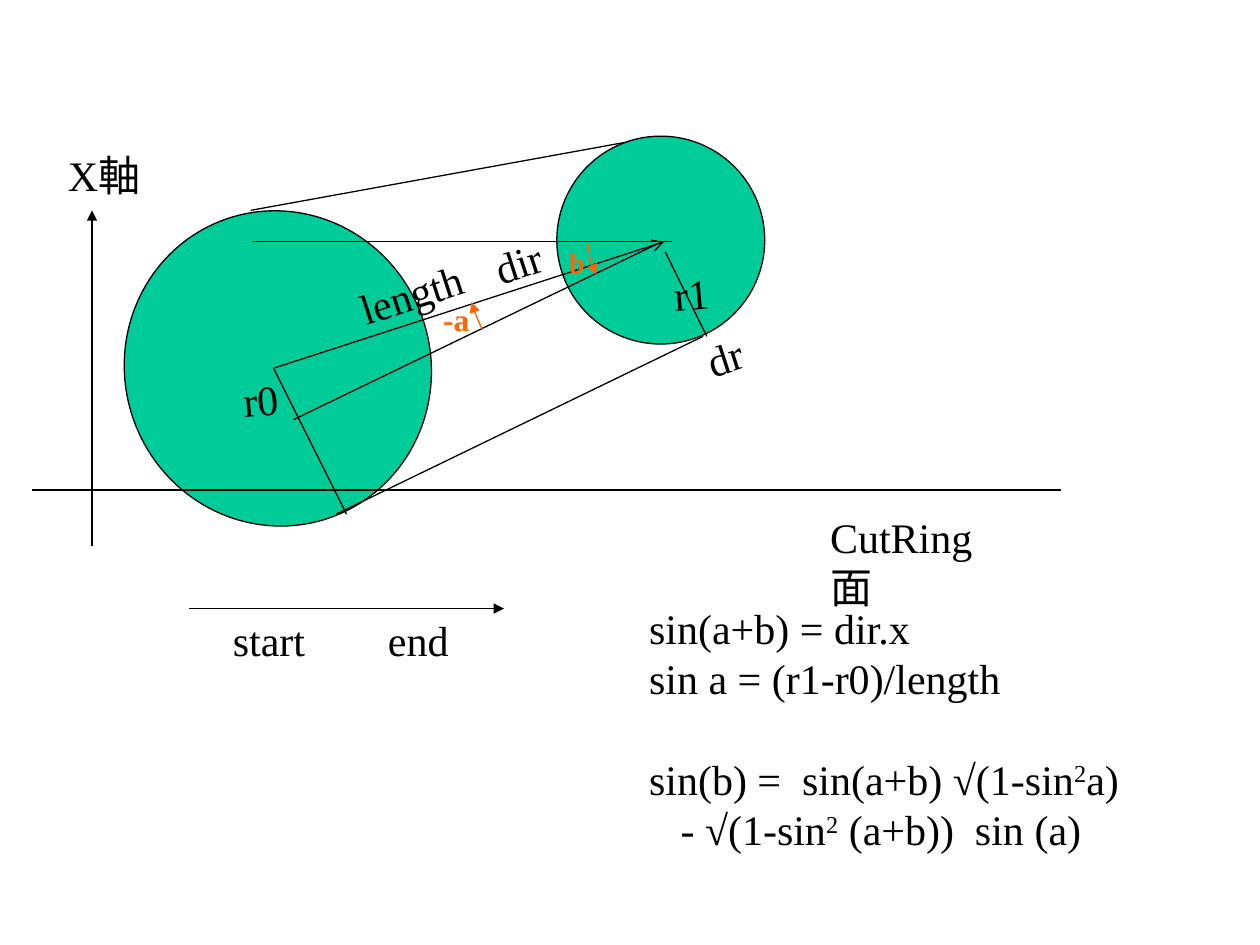
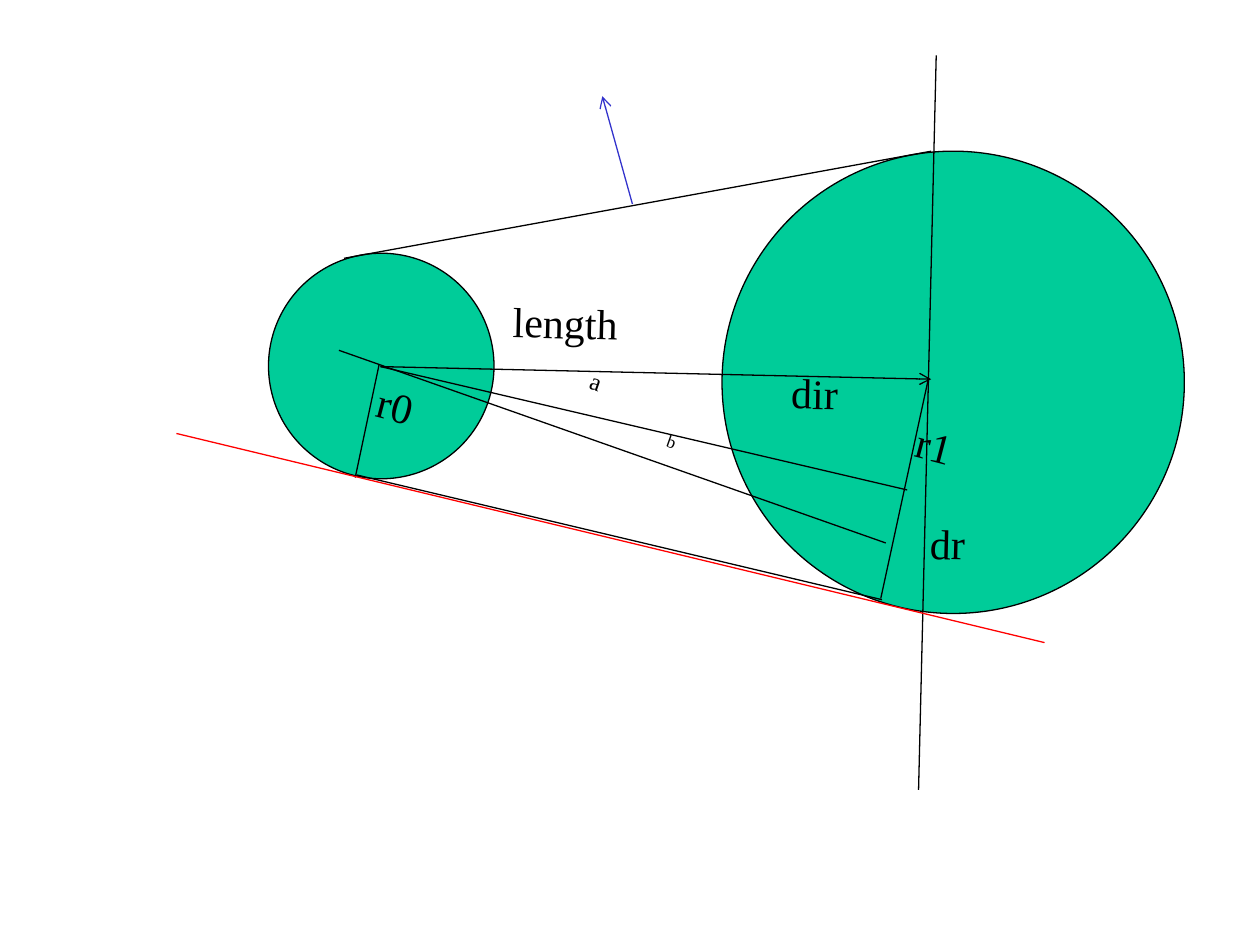
"""Build two diagrams of tangent circles with their lengths and angles."""
import math
from pptx import Presentation
from pptx.dml.color import RGBColor
from pptx.enum import shapes, text
from pptx.oxml.ns import qn
from pptx.util import Pt
from lxml import etree

FONT = "Times New Roman"
BLACK, GREEN, ORANGE, RED, BLUE = "000000", "00CC99", "FF6600", "FF0000", "3333CC"
FORMULA_PITCH = 28.8

CUT_RING = {
    "circles": [(71.3, 120.2, 175, 180.7, 342), (318.2, 77.8, 118.8, 118.8, 342)],
    "lines": [
        (157, 210.2, 379.4, 138.2, BLACK, "arrow"),
        (143.3, 120.2, 357.1, 81.4, BLACK, None),
        (18, 280, 606.2, 280, BLACK, None),
        (52.6, 311.8, 52.6, 120.2, BLACK, "triangle"),
        (108, 347.8, 288, 347.8, BLACK, "triangle"),
        (192.2, 293.8, 401.8, 192.2, BLACK, None),
        (156.2, 210.2, 198, 293.8, BLACK, None),
        (167.8, 239.8, 378, 138.2, BLACK, None),
        (380.2, 144, 403.9, 192.2, BLACK, None),
        (383.8, 138.2, 144, 138.2, BLACK, None),
    ],
    "labels": [
        ("dir", 275.8, 131.8, 41, 36, 342, 24, BLACK, False),
        ("CutRing 面", 467.3, 288.7, 122, 36, 0, 24, BLACK, True),
        ("X軸", 31.7, 82.1, 56.2, 36, 0, 24, BLACK, True),
        ("length", 198, 149.8, 74.2, 36, 342, 24, BLACK, False),
        ("dr", 397.4, 185.8, 34.6, 36, 342, 24, BLACK, False),
        ("start", 126, 347.8, 60, 36, 0, 24, BLACK, False),
        ("end", 214.6, 347.8, 52, 36, 0, 24, BLACK, False),
        ("r1", 378, 149.8, 34.6, 36, 355.3, 24, BLACK, False),
        ("r0", 131.8, 210.2, 34.6, 36, 355.3, 24, BLACK, False),
        ("-a", 246.2, 167.8, 29.5, 28.8, 0, 18, ORANGE, False),
        ("b", 318.2, 136.8, 23, 26.6, 0, 16, ORANGE, False),
    ],
}
APEX = (378, 138.2)
ANGLE_ARCS = [(41.8, 179, 153.4), (114, 153.8, 162.4)]
FORMULA_BOX = (357.8, 340.6, 301, 151.2)
FORMULAS = [
    (6, 0, ["sin(a+b) = dir.x"]),
    (6, 0, ["sin a = (r1-r0)/length"]),
    (6, FORMULA_PITCH, ["sin(b) =  sin(a+b) √(1-sin", "2", "a)"]),
    (24, 0, ["- √(1-sin", "2", " (a+b))  sin (a)"]),
]

TANGENT = {
    "circles": [(412.6, 86.4, 264.2, 264.2, 342), (153.4, 144.7, 128.9, 128.9, 1.3)],
    "lines": [
        (217.4, 209.5, 532.1, 216.7, BLACK, "arrow"),
        (196.6, 147.6, 532.1, 86.4, BLACK, None),
        (535, 31.7, 524.9, 451.4, BLACK, None),
        (203.8, 271.4, 504, 342.7, BLACK, None),
        (216.7, 208.1, 203, 272.9, BLACK, None),
        (503.3, 342, 530.6, 216, BLACK, None),
        (217.4, 209.5, 518.4, 280, BLACK, None),
        (100.8, 247.7, 596.9, 367.2, RED, None),
        (193.7, 200.2, 506.2, 310.3, BLACK, None),
        (361.4, 116.6, 344.2, 55, BLUE, "arrow"),
    ],
    "labels": [
        ("dir", 445, 206.6, 55.4, 48.2, 1.3, 24, BLACK, True),
        ("length", 285.8, 166.3, 100, 48.2, 1.4, 24, BLACK, True),
        ("dr", 524.2, 292.3, 46, 48.2, 1.4, 24, BLACK, True),
        ("r1", 515.5, 237.6, 46, 48.2, 14.7, 24, BLACK, True),
        ("r0", 207.4, 214.6, 46, 48.2, 14.7, 24, BLACK, True),
        ("a", 329, 206.6, 28, 32.4, 19.4, 14, BLACK, True),
        ("b", 373, 243.4, 26, 26, 19.4, 10, BLACK, True),
    ],
}


def rgb(colour):
    """Turn a hex string into a colour."""
    return RGBColor.from_string(colour)


def outline(part, colour, arrow=None):
    """Give a part its thin line and an optional arrowhead at its end."""
    part.line.width = Pt(0.75)
    part.line.color.rgb = rgb(colour)
    if arrow:
        etree.SubElement(part.element.spPr.find(qn("a:ln")), qn("a:tailEnd"), type=arrow)


def add_circle(slide, left, top, width, height, turn):
    """Add a green circle."""
    circle = slide.shapes.add_shape(
        shapes.MSO_SHAPE.OVAL, Pt(left), Pt(top), Pt(width), Pt(height))
    circle.rotation = turn
    circle.shadow.inherit = False
    circle.fill.solid()
    circle.fill.fore_color.rgb = rgb(GREEN)
    outline(circle, BLACK)


def add_line(slide, x0, y0, x1, y1, colour, arrow):
    """Add a straight line without shadow."""
    line = slide.shapes.add_connector(
        shapes.MSO_CONNECTOR.STRAIGHT, Pt(x0), Pt(y0), Pt(x1), Pt(y1))
    outline(line, colour, arrow)
    etree.SubElement(line.element.spPr, qn("a:effectLst"))


def add_arc(slide, radius, first, last, steps=8):
    """Add an angle arc around the apex, with an arrowhead at its end."""
    angles = [math.radians(first + (last - first) * i / steps) for i in range(steps + 1)]
    points = [(Pt(APEX[0] + radius * math.cos(a)), Pt(APEX[1] + radius * math.sin(a)))
              for a in angles]
    builder = slide.shapes.build_freeform(*points[0])
    builder.add_line_segments(points[1:], close=False)
    arc = builder.convert_to_shape()
    arc.shadow.inherit = False
    arc.fill.background()
    outline(arc, ORANGE, "triangle")


def add_frame(slide, left, top, width, height, turn, wrap):
    """Add an empty text box and return its text frame."""
    box = slide.shapes.add_textbox(Pt(left), Pt(top), Pt(width), Pt(height))
    box.rotation = turn
    box.text_frame.word_wrap = wrap
    box.text_frame.auto_size = text.MSO_AUTO_SIZE.SHAPE_TO_FIT_TEXT
    return box.text_frame


def add_run(paragraph, words, size, colour):
    """Add one formatted run and return its font."""
    run = paragraph.add_run()
    run.text = words
    run.font.name, run.font.size = FONT, Pt(size)
    run.font.color.rgb = rgb(colour)
    return run.font


def add_label(slide, words, left, top, width, height, turn, size, colour, wrap):
    """Add a label; angle names are bold."""
    frame = add_frame(slide, left, top, width, height, turn, wrap)
    font = add_run(frame.paragraphs[0], words, size, colour)
    if colour == ORANGE:
        font.bold = True


def add_formulas(slide):
    """Add the formulas, with every second run raised."""
    frame = add_frame(slide, *FORMULA_BOX, 0, True)
    for row, (indent, gap, pieces) in enumerate(FORMULAS):
        formula = frame.add_paragraph() if row else frame.paragraphs[0]
        formula.line_spacing = Pt(FORMULA_PITCH)
        formula.space_before = Pt(gap)
        formula._p.get_or_add_pPr().set("marL", str(Pt(indent)))
        for place, piece in enumerate(pieces):
            font = add_run(formula, piece, 24, BLACK)
            if place % 2:
                font._element.set("baseline", "30000")


def add_diagram(deck, diagram):
    """Add a slide with the circles, lines and labels of a diagram."""
    slide = deck.slides.add_slide(deck.slide_layouts[6])
    for part, add in (("circles", add_circle), ("lines", add_line), ("labels", add_label)):
        for values in diagram[part]:
            add(slide, *values)
    return slide


deck = Presentation()
deck.slide_width, deck.slide_height = Pt(720), Pt(540)
cut_ring = add_diagram(deck, CUT_RING)
add_formulas(cut_ring)
for angle_arc in ANGLE_ARCS:
    add_arc(cut_ring, *angle_arc)
add_diagram(deck, TANGENT)
deck.save("out.pptx")
